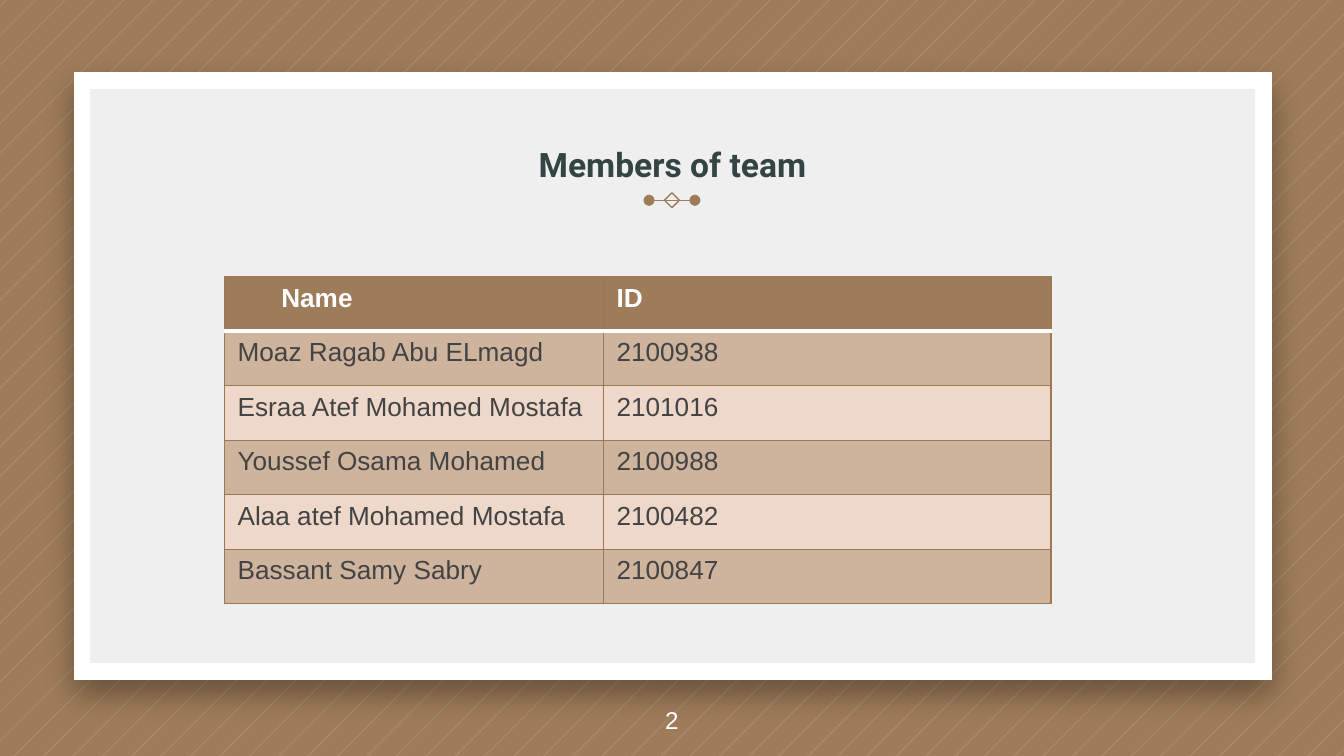
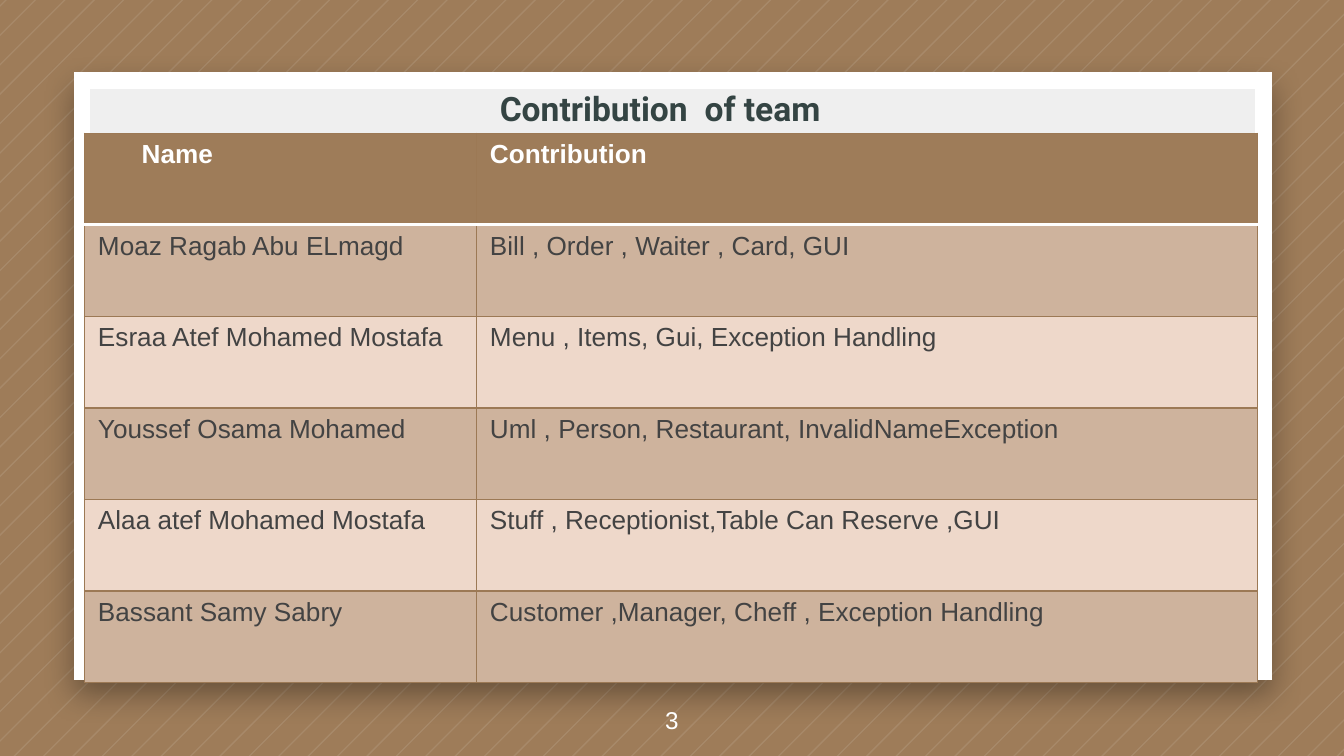
import pptx
import pptx.dml.color
import pptx.enum.shapes
import pptx.enum.text
import pptx.oxml
import pptx.oxml.ns
import pptx.util
from lxml import etree

Pt = pptx.util.Pt
ALIGN = pptx.enum.text.PP_ALIGN
ANCHOR = pptx.enum.text.MSO_ANCHOR
SHAPE = pptx.enum.shapes.MSO_SHAPE

# Content
MEMBERS = [
    ("Moaz Ragab Abu ELmagd", "2100938", "Bill , Order , Waiter , Card, GUI"),
    ("Esraa Atef Mohamed Mostafa", "2101016", "Menu , Items, Gui, Exception Handling"),
    ("Youssef Osama Mohamed", "2100988", "Uml , Person, Restaurant, InvalidNameException"),
    ("Alaa atef Mohamed Mostafa", "2100482", "Stuff , Receptionist,Table Can Reserve ,GUI"),
    ("Bassant Samy Sabry", "2100847", "Customer ,Manager, Cheff , Exception Handling"),
]
PAGES = [
    {
        "number": "2",
        "title": "Members of team",
        "title_place": (71.3, 58.3, 578, 47.5),
        "rows": [("Name", "ID")] + [(name, code) for name, code, _ in MEMBERS],
        "table_corner": (120.1, 148.2),
        "columns": (203, 240),
        "row_height": 29.2,
    },
    {
        "number": "3",
        "title": "Contribution  of team",
        "title_place": (64.7, 28.3, 578, 47.5),
        "rows": [("Name", "Contribution")] + [(name, work) for name, _, work in MEMBERS],
        "table_corner": (45.3, 71.4),
        "columns": (210, 418.5),
        "row_height": 49.05,
    },
]

# Shared look
COLORS = {
    "brown": "9E7C59", "border": "9C7955", "white": "FFFFFF", "panel": "EFEFEF",
    "title": "344443", "text": "434343", "dark_row": "CEB39D", "light_row": "EED8CA",
}
FONTS = {
    "title": {"name": "Roboto", "size": Pt(18), "bold": True},
    "number": {"name": "Arial", "size": Pt(13), "bold": False},
    "header": {"name": "Arial", "size": Pt(14), "bold": True},
    "body": {"name": "Arial", "size": Pt(14), "bold": False},
}
FRAME = {
    "margin_left": Pt(7.2), "margin_right": Pt(7.2), "margin_top": Pt(7.2),
    "margin_bottom": Pt(7.2), "word_wrap": True,
    "auto_size": pptx.enum.text.MSO_AUTO_SIZE.NONE,
}
WIDTH, HEIGHT = 720, 405
STRIPE_START, STRIPE_STEP, STRIPE_WIDTH, STRIPE_COUNT = 2.75, 15.75, 1, 72
ORNAMENT_Y = 107.3
HEADER_INDENT = 23.4


def points(*values):
    return [Pt(value) for value in values]


def color(name):
    return pptx.dml.color.RGBColor.from_string(COLORS[name])


def set_all(target, formats):
    for key, value in formats.items():
        setattr(target, key, value)


def paint(fill, name):
    fill.solid()
    fill.fore_color.rgb = color(name)


def outline(line, name, width):
    line.color.rgb = color(name)
    line.width = Pt(width)


def add_xml(parent, xml):
    parent.append(pptx.oxml.parse_xml(
        xml.replace(">", f" {pptx.oxml.ns.nsdecls('a')}>", 1)))


def write(paragraph, text, style, ink, alignment):
    span = paragraph.add_run()
    span.text = text
    set_all(span.font, FONTS[style])
    span.font.color.rgb = color(ink)
    paragraph.alignment = alignment


# Background stripes, clipped to the slide
def stripe_corners(offset):
    top = (offset, 0) if offset <= WIDTH else (WIDTH, offset - WIDTH)
    bottom = (0, offset) if offset <= HEIGHT else (offset - HEIGHT, HEIGHT)
    return top, bottom


def add_stripes(page):
    builder = None
    for index in range(STRIPE_COUNT):
        offset = STRIPE_START + index * STRIPE_STEP
        top, bottom = stripe_corners(offset)
        far_top, far_bottom = stripe_corners(offset + STRIPE_WIDTH)
        if builder is None:
            builder = page.shapes.build_freeform(*points(*top), scale=1.0)
        else:
            builder.move_to(*points(*top))
        corners = [points(*corner) for corner in (bottom, far_bottom, far_top)]
        builder.add_line_segments(corners, close=True)
    stripes = builder.convert_to_shape()
    stripes.shadow.inherit = False
    paint(stripes.fill, "white")
    stripes.line.fill.background()
    tint = stripes.element.spPr.find(".//" + pptx.oxml.ns.qn("a:srgbClr"))
    add_xml(tint, '<a:alpha val="10000"></a:alpha>')


# White-framed panel with a soft shadow
def add_panel(page):
    panel = page.shapes.add_shape(SHAPE.RECTANGLE, *points(43.9, 43.2, 632.9, 316.5))
    paint(panel.fill, "panel")
    outline(panel.line, "white", 9)
    add_xml(panel.line._get_or_add_ln(), '<a:miter lim="800000"></a:miter>')
    add_xml(panel.element.spPr, (
        f'<a:effectLst><a:outerShdw blurRad="{Pt(16.9)}" dist="{Pt(7.5)}" dir="5400000" '
        'algn="t" rotWithShape="0"><a:srgbClr val="000000"><a:alpha val="35000"/>'
        '</a:srgbClr></a:outerShdw></a:effectLst>'))


# Dotted line with a diamond at its middle
def add_ornament(page):
    rule = page.shapes.add_connector(
        pptx.enum.shapes.MSO_CONNECTOR.STRAIGHT,
        *points(347.7, ORNAMENT_Y, 372.3, ORNAMENT_Y))
    outline(rule.line, "brown", 0.75)
    for end in ("headEnd", "tailEnd"):
        add_xml(rule.line._get_or_add_ln(), f'<a:{end} type="oval"></a:{end}>')
    add_xml(rule.element.spPr, "<a:effectLst></a:effectLst>")
    size = 8
    diamond = page.shapes.add_shape(
        SHAPE.DIAMOND, *points((WIDTH - size) / 2, ORNAMENT_Y - size / 2, size, size))
    diamond.shadow.inherit = False
    diamond.fill.background()
    outline(diamond.line, "brown", 0.75)


def add_title(page, text, place):
    title = page.shapes.title
    page.shapes.element.append(title.element)  # bring above the panel
    set_all(title, dict(zip(("left", "top", "width", "height"), points(*place))))
    set_all(title.text_frame, {**FRAME, "vertical_anchor": ANCHOR.BOTTOM})
    write(title.text_frame.paragraphs[0], text, "title", "title", ALIGN.CENTER)


def add_number(page, text):
    box = page.shapes.add_textbox(*points(0, 366, WIDTH, 39))
    set_all(box.text_frame, {**FRAME, "vertical_anchor": ANCHOR.MIDDLE})
    write(box.text_frame.paragraphs[0], text, "number", "white", ALIGN.CENTER)


# Table
def add_borders(cell, row):
    white_side = {0: "B", 1: "T"}.get(row)
    properties = cell._tc.get_or_add_tcPr()
    for side in "LRTB":
        name, width = ("white", 2) if side == white_side else ("border", 0.75)
        add_xml(properties, (
            f'<a:ln{side} w="{Pt(width)}"><a:solidFill><a:srgbClr val="{COLORS[name]}"/>'
            f'</a:solidFill></a:ln{side}>'))


def add_team_table(page, content):
    rows, columns = content["rows"], content["columns"]
    height = content["row_height"]
    table = page.shapes.add_table(
        len(rows), len(columns),
        *points(*content["table_corner"], sum(columns), height * len(rows))).table
    set_all(table, {"first_row": False, "horz_banding": False})
    for column, width in zip(table.columns, columns):
        column.width = Pt(width)
    for row, texts in enumerate(rows):
        table.rows[row].height = Pt(height)
        if row == 0:
            fill, style, ink = "brown", "header", "white"
        else:
            fill, style, ink = "dark_row" if row % 2 else "light_row", "body", "text"
        for column, text in enumerate(texts):
            cell = table.cell(row, column)
            add_borders(cell, row)
            paint(cell.fill, fill)
            write(cell.text_frame.paragraphs[0], text, style, ink, ALIGN.LEFT)
    table.cell(0, 0).margin_left = Pt(7.2 + HEADER_INDENT)


def main():
    deck = pptx.Presentation()
    deck.slide_width, deck.slide_height = points(WIDTH, HEIGHT)
    paint(deck.slide_master.background.fill, "brown")
    title_only = deck.slide_layouts[5]
    for content in PAGES:
        page = deck.slides.add_slide(title_only)
        add_stripes(page)
        add_panel(page)
        add_ornament(page)
        add_title(page, content["title"], content["title_place"])
        add_number(page, content["number"])
        add_team_table(page, content)
    deck.save("out.pptx")


if __name__ == "__main__":
    main()
